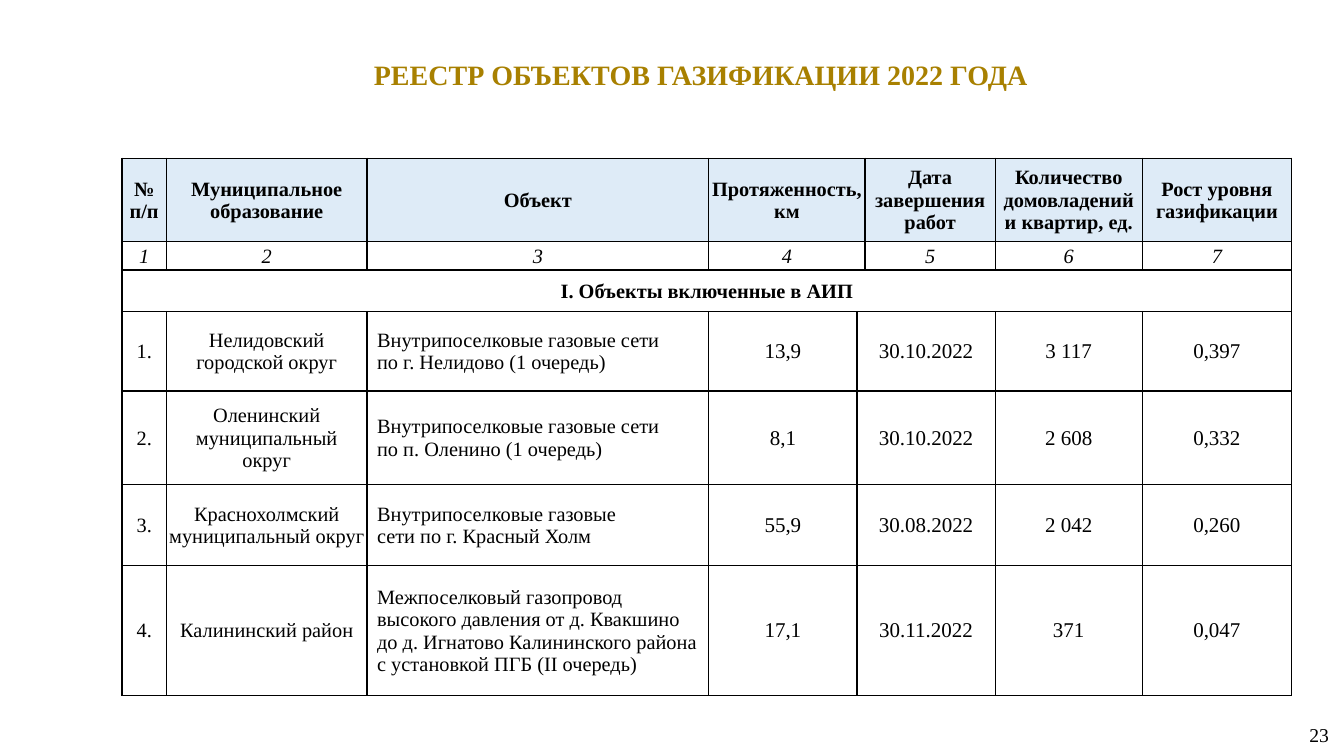
import pptx
import pptx.dml.color
import pptx.enum.text
import pptx.oxml
import pptx.oxml.ns
import pptx.util

COLORS = {"text": "000000", "title": "A88000", "header": "DEEBF7", "border": "000000"}
FONT = "Times New Roman"
SLIDE_WIDTH = pptx.util.Inches(13.33)
SLIDE_HEIGHT = pptx.util.Inches(7.5)
ALIGN = pptx.enum.text.PP_ALIGN
MIDDLE = pptx.enum.text.MSO_ANCHOR.MIDDLE
TOP = pptx.enum.text.MSO_ANCHOR.TOP

# Percent of the slide's width and height
COLUMN_SHARES = [3.3, 14.93, 25.43, 11.03, 0.6, 9.68, 10.95, 11.1]
ROW_SHARES = [11.07, 3.73, 5.47, 10.53, 12.4, 10.67, 17.2]

HEADINGS = ["№ п/п", "Муниципальное образование", "Объект", "Протяженность,\nкм",
            "Дата завершения работ", "Количество домовладений и квартир, ед.",
            "Рост уровня газификации"]
SECTION = "I. Объекты включенные в АИП"
OBJECTS = [
    ["1.", "Нелидовский\nгородской округ",
     "Внутрипоселковые газовые сети\nпо г. Нелидово (1 очередь)",
     "13,9", "30.10.2022", "3 117", "0,397"],
    ["2.", "Оленинский\nмуниципальный\nокруг",
     "Внутрипоселковые газовые сети\nпо п. Оленино (1 очередь)",
     "8,1", "30.10.2022", "2 608", "0,332"],
    ["3.", "Краснохолмский\nмуниципальный округ",
     "Внутрипоселковые газовые\nсети по г. Красный Холм",
     "55,9", "30.08.2022", "2 042", "0,260"],
    ["4.", "Калининский район",
     "Межпоселковый газопровод\nвысокого давления от д. Квакшино\n"
     "до д. Игнатово Калининского района\nс установкой ПГБ (II очередь)",
     "17,1", "30.11.2022", "371", "0,047"],
]
HEADER_COLUMNS = [0, 1, 2, 3, 5, 6, 7]
OBJECT_COLUMNS = [0, 1, 2, 3, 4, 6, 7]
OBJECT_NAME_COLUMN = 2
FIRST_FIGURE_COLUMN = 3


def across(percent):
    return round(SLIDE_WIDTH * percent / 100)


def down(percent):
    return round(SLIDE_HEIGHT * percent / 100)


def place(left, top, width, height):
    return across(left), down(top), across(width), down(height)


def write(frame, text, size, color="text", align=ALIGN.CENTER, **styles):
    """Fill a text frame, one paragraph per line of text."""
    frame.word_wrap = True
    frame.text = text
    values = {"name": FONT, "size": pptx.util.Pt(size), **styles}
    for para in frame.paragraphs:
        para.alignment = align
        for span in para.runs:
            for name, value in values.items():
                setattr(span.font, name, value)
            span.font.color.rgb = pptx.dml.color.RGBColor.from_string(COLORS[color])


def add_label(page, area, text, size, anchor, **styles):
    box = page.shapes.add_textbox(*place(*area))
    box.text_frame.vertical_anchor = anchor
    write(box.text_frame, text, size, **styles)


def add_borders(cell):
    properties = cell._tc.get_or_add_tcPr()
    for side in ("lnL", "lnR", "lnT", "lnB"):
        properties.append(pptx.oxml.parse_xml(
            f'<a:{side} {pptx.oxml.ns.nsdecls("a")} w="12700"><a:solidFill>'
            f'<a:srgbClr val="{COLORS["border"]}"/></a:solidFill></a:{side}>'))


def add_grid(page):
    """Add the bordered table without text."""
    area = place(9.08, 20.93, sum(COLUMN_SHARES), sum(ROW_SHARES))
    table = page.shapes.add_table(len(ROW_SHARES), len(COLUMN_SHARES), *area).table
    table.first_row = table.horz_banding = False
    for column, share in zip(table.columns, COLUMN_SHARES):
        column.width = across(share)
    for row, share in zip(table.rows, ROW_SHARES):
        row.height = down(share)
    margin = pptx.util.Inches(0.01)
    formats = {"margin_left": margin, "margin_right": margin, "margin_top": margin,
               "margin_bottom": 0, "vertical_anchor": MIDDLE}
    for cell in table.iter_cells():
        for name, value in formats.items():
            setattr(cell, name, value)
        add_borders(cell)
        cell.fill.background()
    return table


def merge_columns(table, row, first, last):
    table.cell(row, first).merge(table.cell(row, last))


def fill_header(table):
    for number, (column, heading) in enumerate(zip(HEADER_COLUMNS, HEADINGS), 1):
        cell = table.cell(0, column)
        cell.fill.solid()
        cell.fill.fore_color.rgb = pptx.dml.color.RGBColor.from_string(COLORS["header"])
        write(cell.text_frame, heading, 14.5, bold=True)
        write(table.cell(1, column).text_frame, str(number), 14.5, italic=True)
    for row in (0, 1):
        merge_columns(table, row, 3, 4)


def fill_section(table):
    write(table.cell(2, 0).text_frame, SECTION, 14.5, bold=True)
    merge_columns(table, 2, 0, len(COLUMN_SHARES) - 1)


def fill_objects(table):
    for row, values in enumerate(OBJECTS, 3):
        for column, value in zip(OBJECT_COLUMNS, values):
            cell = table.cell(row, column)
            is_name = column == OBJECT_NAME_COLUMN
            if is_name:
                cell.margin_left = pptx.util.Inches(0.1)
            write(cell.text_frame, value, 15 if column >= FIRST_FIGURE_COLUMN else 14.5,
                  align=ALIGN.LEFT if is_name else ALIGN.CENTER)
        merge_columns(table, row, 4, 5)


def main():
    deck = pptx.Presentation()
    deck.slide_width, deck.slide_height = SLIDE_WIDTH, SLIDE_HEIGHT
    page = deck.slides.add_slide(deck.slide_layouts[6])
    add_label(page, (79.29, 93.07, 20.33, 8.13), "23", 14, MIDDLE, align=ALIGN.RIGHT)
    add_label(page, (10.35, 6.93, 83.57, 5.87), "РЕЕСТР ОБЪЕКТОВ ГАЗИФИКАЦИИ 2022 ГОДА",
              20, TOP, color="title", bold=True)
    table = add_grid(page)
    fill_header(table)
    fill_section(table)
    fill_objects(table)
    deck.save("out.pptx")


if __name__ == "__main__":
    main()
